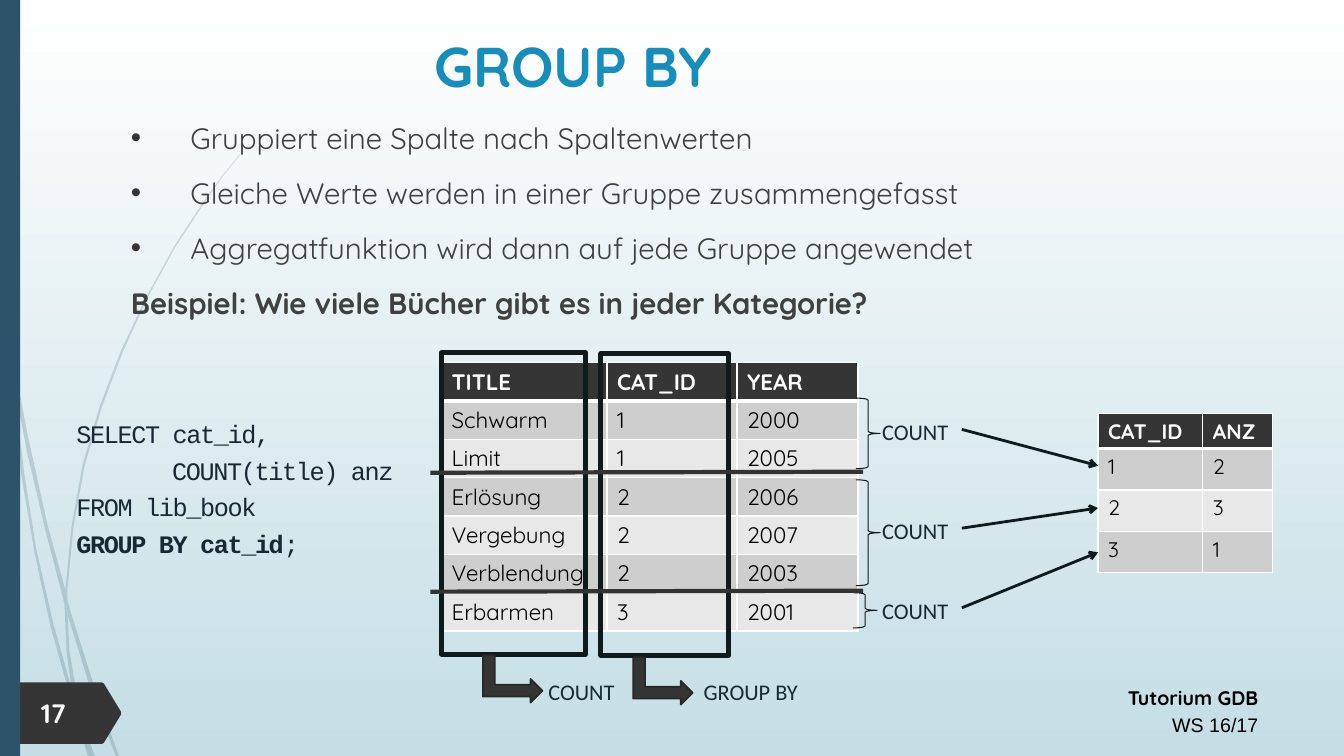
"""Build the GROUP BY slide: bullets, SQL query, source table and result table."""
from lxml import etree
from pptx import Presentation
from pptx import util as u
from pptx.dml.color import RGBColor
from pptx.enum import shapes, text
from pptx.oxml import ns

WHITE = RGBColor(0xFF, 0xFF, 0xFF)
BLACK = RGBColor(0x00, 0x00, 0x00)
MIST = RGBColor(0xC5, 0xDE, 0xE5)
NAVY = RGBColor(0x2E, 0x53, 0x69)
BLUE = RGBColor(0x17, 0x8D, 0xBB)
GRAY = RGBColor(0x40, 0x40, 0x40)
DARK = RGBColor(0x35, 0x35, 0x35)
EDGE = RGBColor(0x27, 0x27, 0x27)
RULE = RGBColor(0x33, 0x33, 0x33)
INK = RGBColor(0x0F, 0x1A, 0x1D)
CODE = RGBColor(0x17, 0x29, 0x34)
BANDS = [RGBColor(0xE8, 0xE8, 0xE8), RGBColor(0xCE, 0xCE, 0xCE)]

prs = Presentation()
prs.slide_width, prs.slide_height = u.Inches(13.33), u.Inches(7.5)
COL, ROW = prs.slide_width / 13.33, prs.slide_height / 7.5
s = prs.slides.add_slide(prs.slide_layouts[6])


def at(x, y, w, h):
    """Turn grid columns and rows into a position and size."""
    return int(x * COL), int(y * ROW), int(w * COL), int(h * ROW)


def add_text(box, lines, size, font, color, bold=False, before=0):
    """Add a text box and return its paragraphs."""
    tf = s.shapes.add_textbox(*at(*box)).text_frame
    tf.word_wrap = True
    tf.text = lines
    for p in tf.paragraphs:
        p.space_before = u.Pt(before)
        for r in p.runs:
            r.font.size, r.font.name, r.font.bold = u.Pt(size), font, bold
            r.font.color.rgb = color
    return tf.paragraphs


fill = s.background.fill
fill.gradient()
fill.gradient_angle = 270
for stop, color, position in zip(fill.gradient_stops, (WHITE, MIST), (0, 1)):
    stop.color.rgb, stop.position = color, position

wisps = [
    [(8, 350), (6, 322), (0, 282), (0, 299), (8, 344)],
    [(44, 522), (64, 599), (65, 586), (47, 520), (28, 434), (11, 345), (13, 376), (27, 449)],
    [(70, 607), (67, 596), (67, 610), (93, 694), (115, 750), (118, 750), (97, 692)],
    [(91, 750), (94, 750), (80, 711)],
    [(71, 683), (53, 619), (36, 545), (24, 469), (13, 376), (8, 350), (21, 470), (34, 547),
     (50, 621), (70, 693), (77, 714), (75, 707)],
    [(64, 599), (66, 646), (71, 683), (73, 692), (80, 711), (79, 706), (69, 646), (67, 610)],
    [(67, 584), (73, 522), (84, 462), (101, 404), (122, 349), (146, 296), (174, 245),
     (205, 198), (221, 175), (238, 154), (238, 153), (220, 175), (204, 197), (173, 244),
     (145, 295), (120, 348), (99, 403), (82, 461), (71, 522), (65, 584), (67, 596)],
    [(77, 714), (87, 750), (90, 750)],
    [(67, 608), (67, 596), (65, 586), (64, 599)],
    [(74, 692), (71, 683), (75, 707), (77, 714), (90, 750), (91, 750), (80, 711)],
]
page_tag = [(0, 677), (101, 677), (103, 678), (120, 706), (120, 709), (103, 737), (101, 738), (0, 738)]
for outline in wisps + [page_tag]:
    fb = s.shapes.build_freeform(*outline[0], scale=(COL / 100, ROW / 100))
    fb.add_line_segments(outline[1:], close=True)
    sp = fb.convert_to_shape()
    sp.shadow.inherit = False
    sp.line.fill.background()
    sp.fill.solid()
    sp.fill.fore_color.rgb = DARK if outline is page_tag else NAVY
    if outline is not page_tag:
        clr = sp._element.spPr.find(ns.qn("a:solidFill"))[0]
        etree.SubElement(clr, ns.qn("a:alpha"), val="20000")

footer = add_text((7.38, 6.72, 5.2, 0.64), "Tutorium GDB\nWS 16/17", 14, "Quicksand", BLACK, True)
for p in footer:
    p.alignment, p.line_spacing = text.PP_ALIGN.RIGHT, 1.14
footer[1].runs[0].font.name, footer[1].runs[0].font.bold = "Arial", False
add_text((0.31, 6.86, 0.7, 0.42), "17", 19, "Quicksand", WHITE, True)
title = add_text((1.2, 0.26, 8.97, 0.81), "GROUP BY", 40, "Quicksand", BLUE, True)
title[0].alignment = text.PP_ALIGN.CENTER

body = add_text((1.2, 1.07, 11.38, 2.28),
                "Gruppiert eine Spalte nach Spaltenwerten\n"
                "Gleiche Werte werden in einer Gruppe zusammengefasst\n"
                "Aggregatfunktion wird dann auf jede Gruppe angewendet\n"
                "Beispiel: Wie viele Bücher gibt es in jeder Kategorie?",
                21, "Quicksand", GRAY, before=9)
for p in body:
    p.line_spacing = 1.2
for p in body[:3]:
    pPr = p._p.get_or_add_pPr()
    pPr.set("marL", str(int(0.59 * COL)))
    pPr.set("indent", str(int(-0.59 * COL)))
    clr = etree.SubElement(pPr, ns.qn("a:buClr"))
    etree.SubElement(clr, ns.qn("a:srgbClr"), val=str(DARK))
    etree.SubElement(pPr, ns.qn("a:buFont"), typeface="Arial")
    etree.SubElement(pPr, ns.qn("a:buChar"), char="•")
body[3].runs[0].font.bold = True

query = add_text((0.66, 4.1, 3.54, 1.69),
                 "SELECT cat_id,\nCOUNT(title) anz\nFROM lib_book\nGROUP BY cat_id",
                 18, "Courier New", CODE, before=4.6)
query[1]._p.get_or_add_pPr().set("marL", str(int(0.95 * COL)))
query[3].runs[0].font.bold = True
r = query[3].add_run()
r.text = ";"
r.font.size, r.font.name, r.font.color.rgb = u.Pt(18), "Courier New", CODE
for p in query:
    for r in p.runs:
        r._r.get_or_add_rPr().set("spc", "-100")

books = [("TITLE", "CAT_ID", "YEAR"), ("Schwarm", "1", "2000"), ("Limit", "1", "2005"),
         ("Erlösung", "2", "2006"), ("Vergebung", "2", "2007"), ("Verblendung", "2", "2003"),
         ("Erbarmen", "3", "2001")]
counts = [("CAT_ID", "ANZ"), ("1", "2"), ("2", "3"), ("3", "1")]
for data, x, y, widths, heights, size in [
        (books, 4.38, 3.6, (1.64, 1.29, 1.2), [0.38] * 7, 16),
        (counts, 10.89, 4.1, (1.04, 0.69), [0.35] + [0.41] * 3, 15)]:
    frame = s.shapes.add_table(len(data), len(widths), *at(x, y, sum(widths), sum(heights)))
    for column, width in zip(frame.table.columns, widths):
        column.width = int(width * COL)
    for i, (row, height) in enumerate(zip(frame.table.rows, heights)):
        row.height = int(height * ROW)
        for cell, value in zip(row.cells, data[i]):
            tcPr = cell._tc.get_or_add_tcPr()
            for side in "LRTB":
                heavy = (i, side) in ((0, "B"), (1, "T"))
                ln = etree.SubElement(tcPr, ns.qn("a:ln" + side), w=str(u.Pt(3 if heavy else 1)))
                solid = etree.SubElement(ln, ns.qn("a:solidFill"))
                etree.SubElement(solid, ns.qn("a:srgbClr"), val=str(WHITE))
            cell.fill.solid()
            cell.fill.fore_color.rgb = BANDS[i % 2] if i else DARK
            cell.text_frame.text = value
            font = cell.text_frame.paragraphs[0].runs[0].font
            font.size, font.name, font.bold = u.Pt(size), "Quicksand", i == 0
            font.color.rgb = BLACK if i else WHITE

shape = shapes.MSO_SHAPE
for kind, box, color, edge, width in [
        (shape.RECTANGLE, (0, 0, 0.2, 7.5), NAVY, None, 0),
        (shape.RECTANGLE, (5.96, 3.51, 1.27, 2.99), None, INK, 3.5),
        (shape.RECTANGLE, (4.38, 3.5, 1.43, 2.99), None, INK, 3.5),
        (shape.BENT_UP_ARROW, (6.34, 6.46, 0.47, 0.59), DARK, EDGE, 1.25),
        (shape.BENT_UP_ARROW, (4.85, 6.44, 0.47, 0.59), DARK, EDGE, 1.25),
        (shape.RIGHT_BRACE, (8.49, 3.95, 0.24, 0.7), None, INK, 0.75),
        (shape.RIGHT_BRACE, (8.49, 4.76, 0.24, 1.05), None, INK, 0.75),
        (shape.RIGHT_BRACE, (8.46, 5.88, 0.24, 0.35), None, INK, 0.75)]:
    sp = s.shapes.add_shape(kind, *at(*box))
    sp.shadow.inherit = False
    sp.rotation = 90 if kind == shape.BENT_UP_ARROW else 0
    for paint, tone in ((sp.fill, color), (sp.line.fill, edge)):
        if tone is None:
            paint.background()
        else:
            paint.solid()
            paint.fore_color.rgb = tone
    if edge is not None:
        sp.line.width = u.Pt(width)

for label, x, y, w, h in [("COUNT", 8.65, 4.1, 0.89, 0.32), ("COUNT", 8.65, 5.08, 0.89, 0.32),
                          ("COUNT", 8.65, 5.87, 0.89, 0.32), ("COUNT", 5.34, 6.68, 1.55, 0.43),
                          ("GROUP BY", 6.88, 6.68, 1.55, 0.43)]:
    add_text((x, y, w, h), label, 16, "Calibri", CODE, before=3)

for x1, y1, x2, y2, color, width in [
        (4.27, 4.69, 8.56, 4.68, RULE, 3), (4.27, 5.87, 8.56, 5.86, RULE, 3),
        (9.54, 4.26, 10.89, 4.62, INK, 2), (9.54, 5.24, 10.89, 5.04, INK, 2),
        (9.54, 6.03, 10.89, 5.48, INK, 2)]:
    line = s.shapes.add_connector(shapes.MSO_CONNECTOR.STRAIGHT, *at(x1, y1, x2, y2))
    line.line.color.rgb, line.line.width = color, u.Pt(width)
    if color is INK:
        etree.SubElement(line.line._get_or_add_ln(), ns.qn("a:tailEnd"), type="arrow")
    etree.SubElement(line._element.spPr, ns.qn("a:effectLst"))

prs.save("out.pptx")
